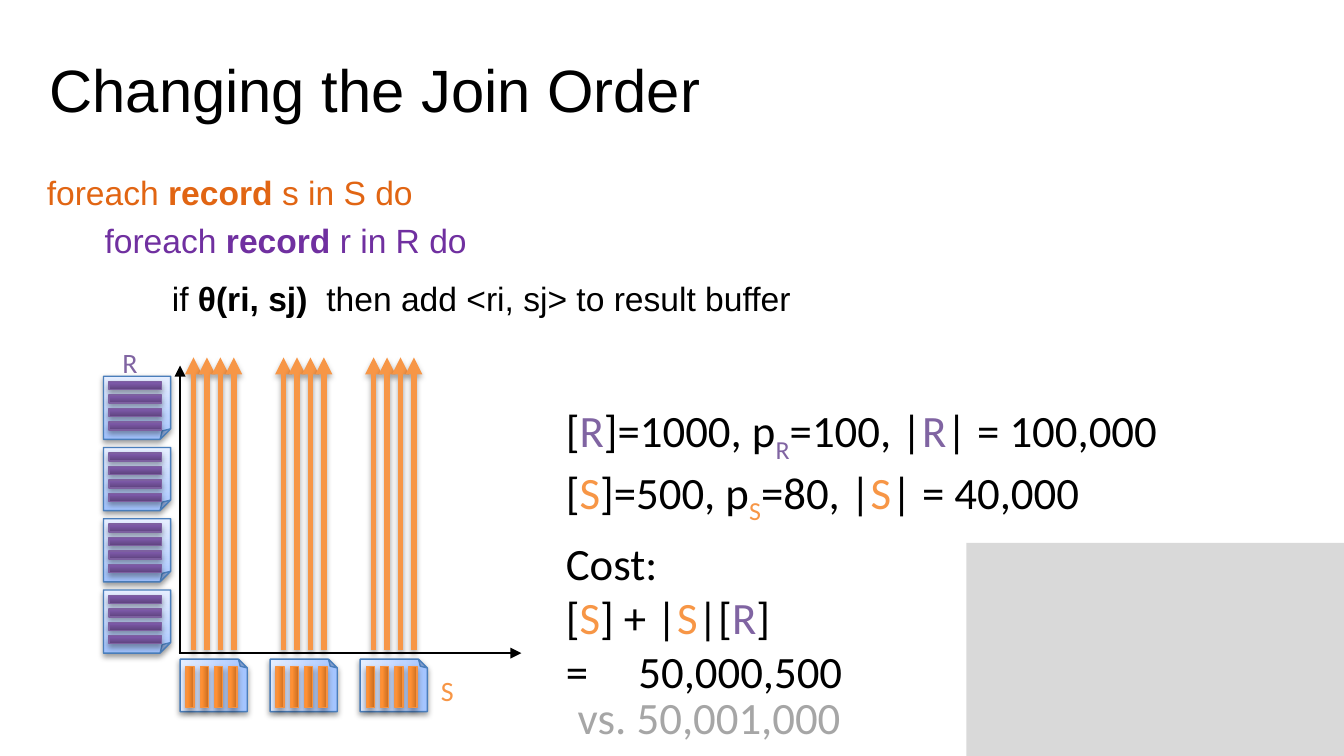
from copy import deepcopy

from pptx import Presentation
from pptx.dml.color import RGBColor
from pptx.enum.shapes import MSO_CONNECTOR as Connector, MSO_SHAPE as Preset
from pptx.oxml import parse_xml
from pptx.oxml.ns import nsdecls, qn
from pptx.util import Inches, Pt

COLUMNS, ROWS = 100, 56.25
CELL = Inches(10) / COLUMNS
BLACK, GREY, SILVER = "000000", "A6A6A6", "D9D9D9"
PURPLE, ORANGE = "8064A2", "F79646"
RELATION_INKS = {"R": PURPLE, "S": ORANGE}
PAGE_BLEND = [(0, "A2C3FF"), (0.35, "BDD4FF"), (1, "E6EEFF")]
R_BLEND = [(0, "5E437E"), (0.8, "7B58A6"), (1, "7B57A8")]
S_BLEND = [(0, "C96D20"), (0.8, "FF9034"), (1, "FF9035")]
RECORDS = 4


def cells(*counts):
    return [round(count * CELL) for count in counts]


def colour(hex_code):
    return RGBColor.from_string(hex_code)


def set_shadow(item, opacity=None, distance=1.8):
    properties = item._element.spPr
    effects = properties.find(qn("a:effectLst"))
    if effects is None:
        effects = parse_xml(f"<a:effectLst {nsdecls('a')}/>")
        properties.append(effects)
    if opacity:
        effects.append(parse_xml(
            f'<a:outerShdw {nsdecls("a")} blurRad="{Pt(3)}" dist="{Pt(distance)}" '
            f'dir="5400000" rotWithShape="0"><a:srgbClr val="{BLACK}">'
            f'<a:alpha val="{opacity * 1000}"/></a:srgbClr></a:outerShdw>'))


def set_blend(shape, blend):
    shape.fill.gradient()
    shape.fill.gradient_angle = 90
    stop_list = shape._element.spPr.find(".//" + qn("a:gsLst"))
    stop_list.append(deepcopy(stop_list[0]))
    for stop, (position, hex_code) in zip(shape.fill.gradient_stops, blend):
        stop.position = position
        stop.color.rgb = colour(hex_code)


def add_tile(parent, preset, centre, size, rotation, blend, edge, opacity, distance):
    (x, y), (width, height) = centre, size
    tile = parent.shapes.add_shape(
        preset, *cells(x - width / 2, y - height / 2, width, height))
    tile.rotation = rotation
    tile.shadow.inherit = False
    set_blend(tile, blend)
    tile.line.color.rgb = colour(edge)
    tile.line.width = Pt(0.75)
    set_shadow(tile, opacity, distance)


def add_page(slide, centre, size, blend, edge, sideways=False):
    page = slide.shapes.add_group_shape()
    rotation = 270 if sideways else 0
    (x, y), (width, height) = centre, size
    add_tile(page, Preset.FOLDED_CORNER, centre, size, rotation,
             PAGE_BLEND, "4A7EBB", 38, 1.6)
    for record in range(RECORDS):
        across = -0.03 * width
        down = (-0.35 + 0.213 * record) * height
        dx, dy = (down, -across) if sideways else (across, down)
        add_tile(page, Preset.RECTANGLE, (x + dx, y + dy), (0.78 * width, 0.6),
                 rotation, blend, edge, 35, 1.8)


def add_arrow(parent, start, end, ink, weight, opacity=None):
    arrow = parent.shapes.add_connector(Connector.STRAIGHT, *cells(*start, *end))
    arrow.line.color.rgb = colour(ink)
    arrow.line.width = Pt(weight)
    arrow._element.spPr.find(qn("a:ln")).append(
        parse_xml(f'<a:tailEnd {nsdecls("a")} type="triangle"/>'))
    set_shadow(arrow, opacity)


def add_part(paragraph, part, ink):
    if part == "\n":
        paragraph.add_line_break()
        return
    run = paragraph.add_run()
    run.text = part.lstrip("*_")
    run.font.color.rgb = colour(RELATION_INKS.get(run.text, ink))
    if part.startswith("*"):
        run.font.bold = True
    if part.startswith("_"):
        run.font._element.set("baseline", "-25000")


def add_text(slide, place, lines, size, ink=BLACK, face="Arial",
             inset=1, tab=None):
    frame = slide.shapes.add_textbox(*cells(*place)).text_frame
    frame.word_wrap = True
    frame.margin_left, frame.margin_right = cells(inset, min(inset, 0.4))
    for index, parts in enumerate(lines):
        paragraph = frame.paragraphs[0] if index == 0 else frame.add_paragraph()
        if tab:
            paragraph._p.get_or_add_pPr().append(parse_xml(
                f'<a:tabLst {nsdecls("a")}>'
                f'<a:tab pos="{cells(tab)[0]}" algn="l"/></a:tabLst>'))
        paragraph.font.name = face
        paragraph.font.size = Pt(size)
        for part in parts:
            add_part(paragraph, part, ink)


def add_backdrop(slide):
    corner = slide.shapes.add_shape(
        Preset.RECTANGLE, *cells(71.9, 40.4, COLUMNS - 71.9, ROWS - 40.4))
    corner.shadow.inherit = False
    corner.fill.solid()
    corner.fill.fore_color.rgb = colour(SILVER)
    corner.line.fill.background()


def add_algorithm(slide):
    add_text(slide, (2.7, 3.4, 82.3, 12.5), [["Changing the Join Order"]], 32)
    add_text(slide, (2.5, 12.3, 29.7, 4),
             [["foreach ", "*record", " s in S do"]], 18, "E16513")
    add_text(slide, (6.8, 15.9, 29.3, 4),
             [["foreach ", "*record", " r in R do"]], 18, "7030A0")
    add_text(slide, (11.8, 20.2, 48.9, 4),
             [["if ", "*θ(ri, sj)", "\tthen add <ri, sj> to result buffer"]],
             18, tab=11.5)


def add_scan_diagram(slide):
    add_arrow(slide, (13.4, 48.5), (13.4, 27.2), BLACK, 1)
    for row in range(4):
        add_page(slide, (10.2, 30.35 + 5.3 * row), (5, 4.7), R_BLEND, "7D60A0")
    for column in range(3):
        shift = 6.7 * column
        add_page(slide, (15.9 + shift, 51), (3.9, 5), S_BLEND, "F69240", True)
        for record in range(RECORDS):
            x = 14.4 + shift + record
            add_arrow(slide, (x, 48.4), (x, 26.6), ORANGE, 3, 35)
    add_arrow(slide, (13.3, 48.6), (38.8, 48.6), BLACK, 1)
    add_text(slide, (8.7, 25.2, 1.9, 3.5), [["R"]], 15, face="Calibri", inset=0.4)
    add_text(slide, (32.4, 49.6, 1.7, 3.5), [["S"]], 15, face="Calibri", inset=0.4)


def add_costs(slide):
    add_text(slide, (36.7, 29.5, 50.4, 9.1),
             [["[", "R", "]=1000, p", "_R", "=100, |", "R", "| = 100,000"],
              ["[", "S", "]=500, p", "_S", "=80, |", "S", "| = 40,000"]],
             24, face="Calibri", inset=5.4)
    add_text(slide, (36.7, 39.4, 26.6, 13.1),
             [["Cost:", "\n", "[", "S", "] + |", "S", "|[", "R", "]"],
              ["=\t50,000,500"]],
             24, face="Calibri", inset=5.4, tab=5.4)
    add_text(slide, (42, 50.8, 22.5, 5), [["vs. 50,001,000"]], 24, GREY, "Calibri")


def main():
    deck = Presentation()
    deck.slide_width, deck.slide_height = cells(COLUMNS, ROWS)
    slide = deck.slides.add_slide(deck.slide_layouts[6])
    add_backdrop(slide)
    add_algorithm(slide)
    add_scan_diagram(slide)
    add_costs(slide)
    deck.save("out.pptx")


if __name__ == "__main__":
    main()
